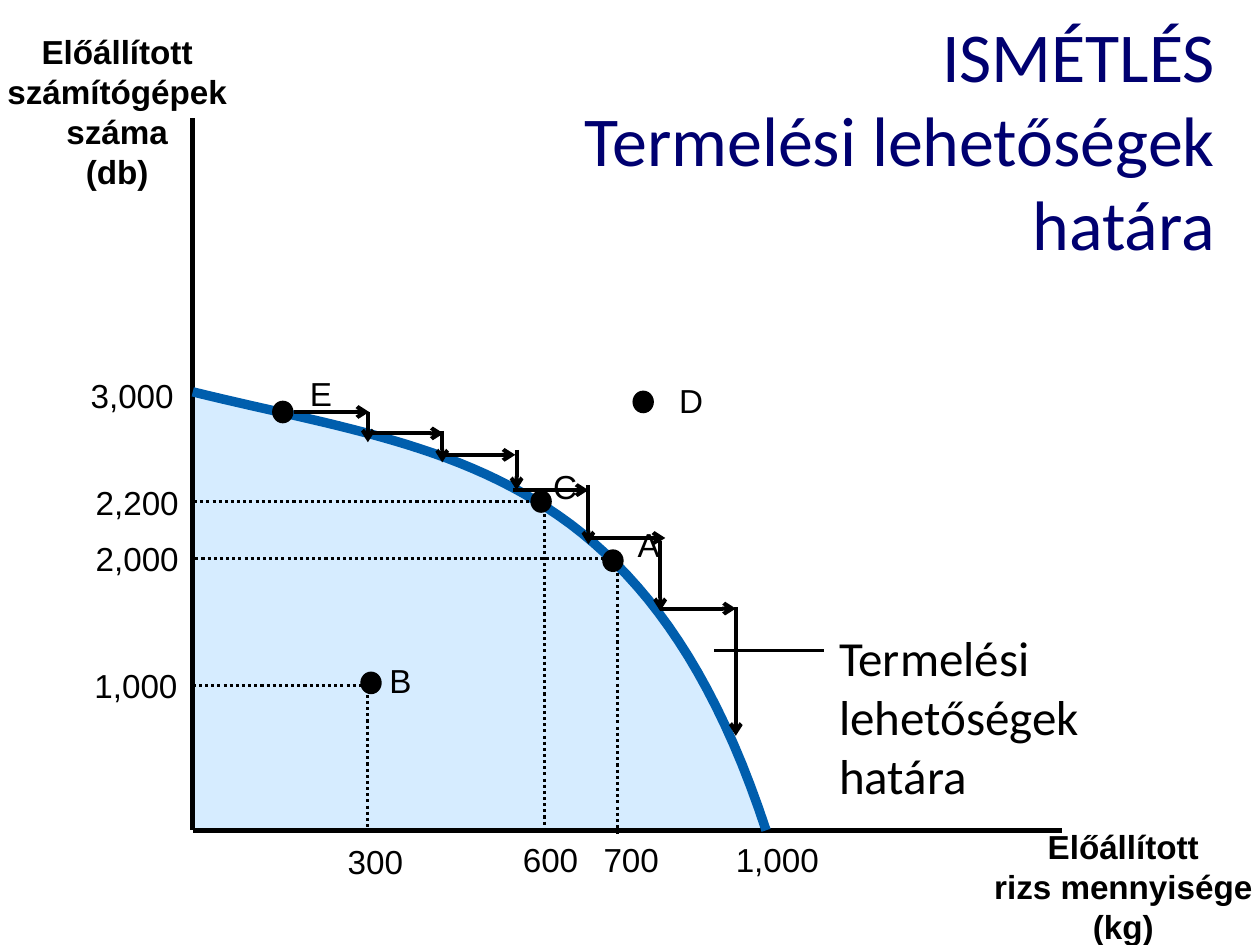
"""Build a slide showing a production possibilities frontier with labelled points."""
from dataclasses import dataclass
from typing import Optional

from lxml.etree import SubElement
from pptx import Presentation
from pptx.dml.color import RGBColor
from pptx.enum.dml import MSO_LINE_DASH_STYLE as Dash
from pptx.enum.shapes import MSO_CONNECTOR as Connector
from pptx.enum.shapes import MSO_SHAPE as Shape
from pptx.enum.text import MSO_ANCHOR as Anchor
from pptx.enum.text import MSO_AUTO_SIZE as AutoSize
from pptx.enum.text import PP_ALIGN as Align
from pptx.oxml.ns import qn
from pptx.util import Inches, Pt

BLACK, NAVY, BLUE, PALE = "000000", "000070", "005EAD", "D6ECFF"
RUN_LENGTH = 0.6
NUMBER = {"size": Pt(19), "name": "Arial", "bold": False}
AXIS = {"size": Pt(19), "name": "Arial", "bold": True}
CALLOUT = {"size": Pt(28), "name": "Calibri", "bold": False}
TITLE = {"size": Pt(40), "name": "Calibri", "bold": False}


@dataclass
class Label:
    lines: list
    left: float
    top: float
    width: float
    height: float = 0.32
    style: Optional[dict] = None
    align: Align = Align.LEFT
    color: str = BLACK
    wrap: bool = False
    margin: float = 0


@dataclass
class Point:
    name: str
    left: float
    top: float
    label_left: float
    label_top: float


@dataclass
class Guide:
    left: float
    top: float
    right: float
    bottom: float


@dataclass
class Step:
    left: float
    top: float
    drop_x: float
    drop_top: float
    drop_bottom: float


POINTS = [
    Point("D", 5.02, 3.1, 5.39, 3.02),
    Point("C", 4.21, 3.89, 4.39, 3.7),
    Point("A", 4.78, 4.36, 5.06, 4.16),
    Point("B", 2.86, 5.33, 3.09, 5.24),
    Point("E", 2.16, 3.18, 2.46, 2.96),
]
GUIDES = [
    Guide(1.53, 5.44, 2.92, 6.59),
    Guide(1.54, 3.98, 4.32, 6.58),
    Guide(1.55, 4.43, 4.9, 6.62),
]
STEPS = [
    Step(2.33, 3.27, 2.92, 3.27, 3.51),
    Step(2.92, 3.44, 3.51, 3.42, 3.67),
    Step(3.49, 3.61, 4.1, 3.57, 3.89),
    Step(4.07, 3.89, 4.67, 3.85, 4.32),
    Step(4.68, 4.27, 5.24, 4.29, 4.85),
    Step(5.24, 4.83, 5.84, 4.82, 5.84),
]
LABELS = [
    Label(["3,000"], 0.72, 2.98, 0.66),
    Label(["2,200"], 0.76, 3.83, 0.66),
    Label(["2,000"], 0.76, 4.27, 0.66),
    Label(["1,000"], 0.75, 5.28, 0.66),
    Label(["300"], 2.76, 6.68, 0.44),
    Label(["600"], 4.15, 6.66, 0.44),
    Label(["700"], 4.79, 6.66, 0.44),
    Label(["1,000"], 5.84, 6.66, 0.66),
    Label(["Termelési", "lehetőségek", "határa"], 6.66, 4.98, 1.91, 1.4, CALLOUT),
    Label(["Előállított", "számítógépek", "száma", "(db)"],
          0.03, 0.25, 1.8, 1.27, AXIS, Align.CENTER),
    Label(["Előállított", "rizs mennyisége", "(kg)"],
          7.87, 6.56, 2.09, 0.95, AXIS, Align.CENTER),
    Label(["ISMÉTLÉS\vTermelési lehetőségek határa"],
          3.41, 0.05, 6.33, 1.5, TITLE, Align.RIGHT, NAVY, True, 0.1),
]


def rgb(color: str) -> RGBColor:
    """Turn a hex string into a colour."""
    return RGBColor.from_string(color)


def apply(target, values: dict) -> None:
    """Set each named attribute on the target."""
    for name, value in values.items():
        setattr(target, name, value)


def bezier(start: tuple, first: tuple, second: tuple, end: tuple, count: int = 48) -> list:
    """Return points along a cubic curve."""
    def blend(t: float, axis: int) -> float:
        u = 1 - t
        return (u ** 3 * start[axis] + 3 * u * u * t * first[axis]
                + 3 * u * t * t * second[axis] + t ** 3 * end[axis])
    return [(blend(i / count, 0), blend(i / count, 1)) for i in range(count + 1)]


def add_outline(page, points: list, fill: str = "", line: str = "", width: float = 0,
                dash: Optional[Dash] = None) -> None:
    """Draw a filled area or an open line through the points."""
    first, *rest = [(Inches(x), Inches(y)) for x, y in points]
    builder = page.shapes.build_freeform(*first)
    builder.add_line_segments(rest, close=bool(fill))
    shape = builder.convert_to_shape()
    shape.shadow.inherit = False
    if fill:
        shape.fill.solid()
        shape.fill.fore_color.rgb = rgb(fill)
    else:
        shape.fill.background()
    if line:
        shape.line.color.rgb = rgb(line)
        apply(shape.line, {"width": Pt(width), "dash_style": dash})
    else:
        shape.line.fill.background()


def add_line(page, start: tuple, end: tuple, width: float, arrow: bool = False) -> None:
    """Draw a straight black line, with an arrowhead at its end if asked."""
    ends = [Inches(value) for value in (*start, *end)]
    line = page.shapes.add_connector(Connector.STRAIGHT, *ends)
    line.line.color.rgb = rgb(BLACK)
    line.line.width = Pt(width)
    properties = line.line._get_or_add_ln()
    if arrow:
        SubElement(properties, qn("a:tailEnd"), type="arrow")
    SubElement(properties.getparent(), qn("a:effectLst"))


def add_label(page, label: Label) -> None:
    """Write a label, one paragraph a line."""
    place = (label.left, label.top, label.width, label.height)
    frame = page.shapes.add_textbox(*map(Inches, place)).text_frame
    side, edge = Inches(label.margin), Inches(label.margin / 2)
    resize = AutoSize.NONE if label.wrap else AutoSize.SHAPE_TO_FIT_TEXT
    apply(frame, {"margin_left": side, "margin_right": side, "margin_top": edge,
                  "margin_bottom": edge, "word_wrap": label.wrap,
                  "auto_size": resize, "vertical_anchor": Anchor.TOP})
    frame.text = "\n".join(label.lines)
    for para in frame.paragraphs:
        para.alignment = label.align
        for span in para.runs:
            apply(span.font, label.style or NUMBER)
            span.font.color.rgb = rgb(label.color)


def add_point(page, point: Point) -> None:
    """Draw a dot and its letter."""
    place = (point.left, point.top, 0.17, 0.18)
    dot = page.shapes.add_shape(Shape.OVAL, *map(Inches, place))
    dot.shadow.inherit = False
    dot.fill.solid()
    dot.fill.fore_color.rgb = rgb(BLACK)
    dot.line.fill.background()
    add_label(page, Label([point.name], point.label_left, point.label_top, 0.18))


def main() -> None:
    """Build and save the deck."""
    deck = Presentation()
    apply(deck, {"slide_width": Inches(10), "slide_height": Inches(7.5)})
    page = deck.slides.add_slide(deck.slide_layouts[6])
    area = bezier((6.08, 6.58), (5.24, 4.08), (3.99, 3.63), (1.53, 3.08))
    add_outline(page, [*area, (1.53, 6.58)], fill=PALE)
    add_line(page, (1.53, 0.94), (1.53, 6.59), 3)
    add_line(page, (1.53, 6.59), (8.43, 6.59), 3)
    frontier = bezier((6.08, 6.59), (5.11, 3.63), (3.43, 3.58), (1.53, 3.11))
    add_outline(page, frontier, line=BLUE, width=5.39)
    for guide in GUIDES:
        corners = [(guide.left, guide.top), (guide.right, guide.top), (guide.right, guide.bottom)]
        add_outline(page, corners, line=BLACK, width=1.75, dash=Dash.ROUND_DOT)
    for point in POINTS:
        add_point(page, point)
    add_line(page, (5.67, 5.16), (6.54, 5.16), 1.75)
    for step in STEPS:
        add_line(page, (step.left, step.top), (step.left + RUN_LENGTH, step.top), 2.25, True)
        add_line(page, (step.drop_x, step.drop_top), (step.drop_x, step.drop_bottom), 2.25, True)
    for label in LABELS:
        add_label(page, label)
    deck.save("out.pptx")


if __name__ == "__main__":
    main()
